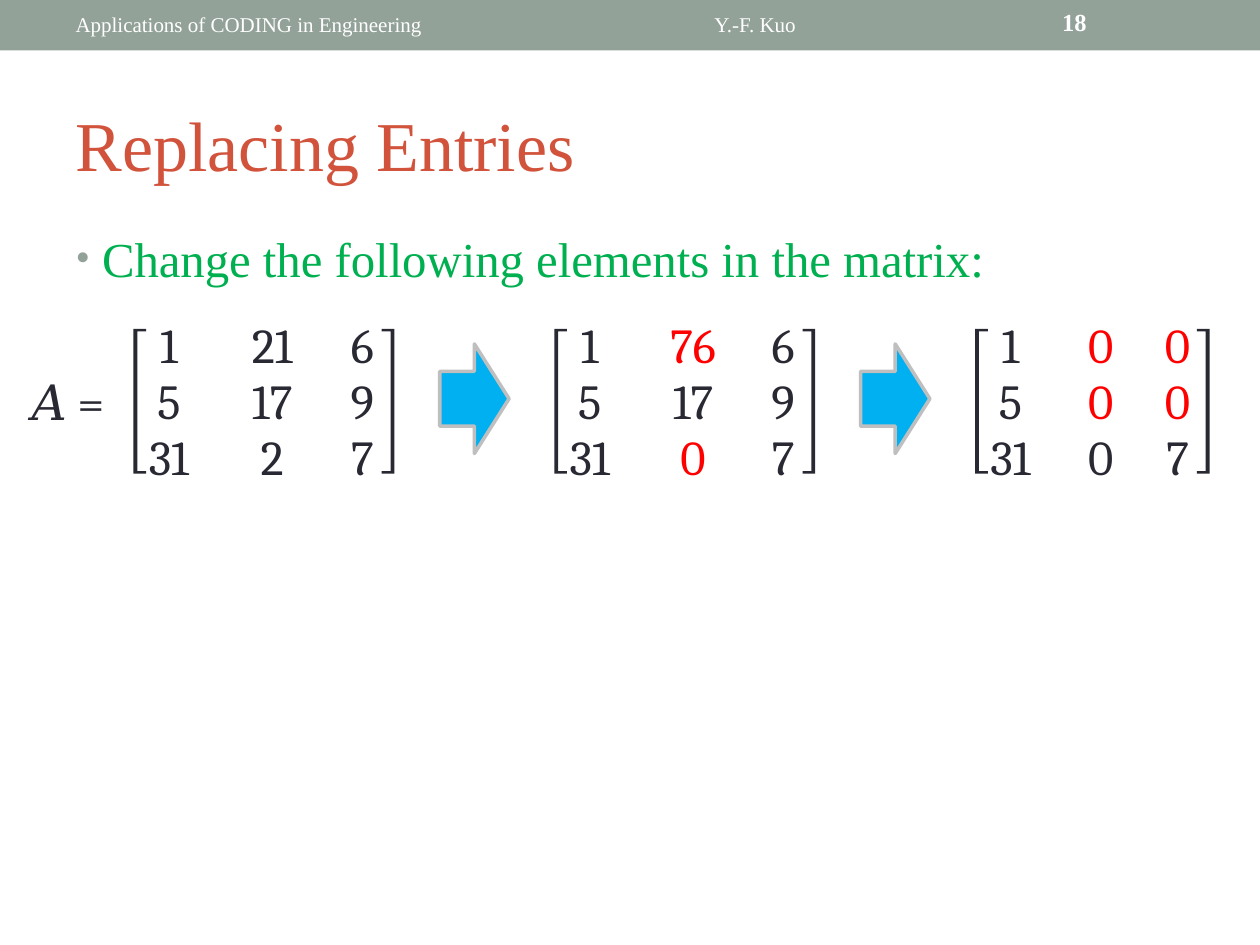
from dataclasses import dataclass

from lxml import etree
from pptx import Presentation
from pptx.dml.color import RGBColor
from pptx.enum import shapes, text
from pptx.oxml import ns
from pptx.util import Inches, Pt


@dataclass(frozen=True)
class Theme:
    serif: str = "Times New Roman"
    math: str = "Cambria"
    band: str = "93A299"
    white: str = "FFFFFF"
    title: str = "D2533C"
    lead: str = "00B050"
    ink: str = "292934"
    changed: str = "FF0000"
    arrow: str = "00B0F0"
    arrow_edge: str = "BFBFBF"
    header_size: float = 12
    number_size: float = 14
    title_size: float = 40
    body_size: float = 27.9


THEME = Theme()
FIRST_LINE, NEXT_LINE = 27, 32  # line heights of matrix rows, points
TWO_DIGITS, ONE_DIGIT = 0.42, 0.21  # column widths
COLUMN_GAP = 0.4
STEP = 3.34  # from one matrix to the next

# Each matrix is a list of columns; a star marks a replaced entry
MATRICES = [
    [["1", "5", "31"], ["21", "17", "2"], ["6", "9", "7"]],
    [["1", "5", "31"], ["76*", "17", "0*"], ["6", "9", "7"]],
    [["1", "5", "31"], ["0*", "0*", "0"], ["0*", "0*", "7"]],
]


def paint(shape, color):
    shape.shadow.inherit = False
    shape.fill.solid()
    shape.fill.fore_color.rgb = RGBColor.from_string(color)
    shape.line.fill.background()


def prepare_frame(shape, wrap=True):
    frame = shape.text_frame
    frame.margin_left = frame.margin_right = 0
    frame.margin_top = frame.margin_bottom = 0
    frame.auto_size = text.MSO_AUTO_SIZE.NONE
    frame.vertical_anchor = text.MSO_ANCHOR.TOP
    frame.word_wrap = wrap
    return frame


def style(para, font, size, color, spacing, bold=False, align=text.PP_ALIGN.LEFT):
    para.alignment = align
    para.line_spacing = Pt(spacing)
    para.space_before = Pt(0)
    para.font.name = font
    para.font.size = Pt(size)
    para.font.bold = bold
    para.font.color.rgb = RGBColor.from_string(color)


def add_label(page, words, left, top, width, height, **look):
    box = page.shapes.add_textbox(*map(Inches, (left, top, width, height)))
    para = prepare_frame(box, wrap=False).paragraphs[0]
    para.text = words
    style(para, **look)


def place(shape, left, top, width, height):
    shape.left, shape.top = Inches(left), Inches(top)
    shape.width, shape.height = Inches(width), Inches(height)


def add_header(page, left, top, width, height):
    band = page.shapes.add_shape(
        shapes.MSO_SHAPE.RECTANGLE, *map(Inches, (left, top, width, height)))
    paint(band, THEME.band)
    small = dict(font=THEME.serif, size=THEME.header_size, color=THEME.white, spacing=11)
    add_label(page, "Applications of CODING in Engineering",
              left + 0.6, top + 0.14, 2.89, 0.15, **small)
    add_label(page, "Y.-F. Kuo", left + 5.67, top + 0.14, 0.67, 0.15, **small)
    add_label(page, "18", left + 8.43, top + 0.12, 0.21, 0.17, font=THEME.serif,
              size=THEME.number_size, color=THEME.white, spacing=12, bold=True)


def fill_title(page, left, top, width, height):
    title = page.shapes.title
    place(title, left, top, width, height)
    para = prepare_frame(title).paragraphs[0]
    para.text = "Replacing Entries"
    style(para, THEME.serif, THEME.title_size, THEME.title, 36)


def fill_body(page, left, top, width, height):
    body = page.placeholders[1]
    place(body, left, top, width, height)
    para = prepare_frame(body).paragraphs[0]
    para.text = "Change the following elements in the matrix:"
    # Hanging bullet in the colour of the header band
    props = para._p.get_or_add_pPr()
    props.set("marL", str(Inches(0.21)))
    props.set("indent", str(-Inches(0.21)))
    color = etree.SubElement(props, ns.qn("a:buClr"))
    etree.SubElement(color, ns.qn("a:srgbClr"), val=THEME.band)
    etree.SubElement(props, ns.qn("a:buSzPct"), val="85000")
    etree.SubElement(props, ns.qn("a:buFont"), typeface=THEME.serif)
    etree.SubElement(props, ns.qn("a:buChar"), char="•")
    style(para, THEME.serif, THEME.body_size, THEME.lead, 28)


def add_bracket(page, edge, top, height, side):
    """Square bracket on an outer edge; side is 1 for opening, -1 for closing."""
    reach, stem, tip = 0.1 * side, 0.03 * side, 0.02
    bottom = top + height
    points = [(edge + reach, top), (edge + reach, top + tip), (edge + stem, top + tip),
              (edge + stem, bottom - tip), (edge + reach, bottom - tip),
              (edge + reach, bottom), (edge, bottom)]
    builder = page.shapes.build_freeform(Inches(edge), Inches(top))
    builder.add_line_segments([(Inches(x), Inches(y)) for x, y in points])
    paint(builder.convert_to_shape(), THEME.ink)


def add_column(page, entries, left, top, width, height):
    box = page.shapes.add_textbox(*map(Inches, (left, top, width, height)))
    frame = prepare_frame(box, wrap=False)
    for row, entry in enumerate(entries):
        para = frame.add_paragraph() if row else frame.paragraphs[0]
        para.text = entry.rstrip("*")
        color = THEME.changed if entry.endswith("*") else THEME.ink
        style(para, THEME.math, THEME.body_size, color,
              NEXT_LINE if row else FIRST_LINE, align=text.PP_ALIGN.CENTER)


def add_matrix(page, columns, left, top, height):
    add_bracket(page, left, top, height, 1)
    x = left + 0.07
    for entries in columns:
        widest = max(len(entry.rstrip("*")) for entry in entries)
        width = TWO_DIGITS if widest == 2 else ONE_DIGIT
        add_column(page, entries, x, top - 0.02, width, 1.29)
        x += width + COLUMN_GAP
    add_bracket(page, x - COLUMN_GAP + 0.15, top, height, -1)


def add_arrow(page, left, top, width, height):
    arrow = page.shapes.add_shape(
        shapes.MSO_SHAPE.RIGHT_ARROW, *map(Inches, (left, top, width, height)))
    paint(arrow, THEME.arrow)
    arrow.line.color.rgb = RGBColor.from_string(THEME.arrow_edge)
    arrow.line.width = Pt(2)


def add_replacement_steps(page, left, top, height):
    add_label(page, "𝐴 =", left, top + 0.36, 0.65, 0.44, font=THEME.math,
              size=THEME.body_size, color=THEME.ink, spacing=NEXT_LINE)
    for index, columns in enumerate(MATRICES):
        x = left + 0.81 + index * STEP
        add_matrix(page, columns, x, top, height)
        if index:
            add_arrow(page, x - 0.91, top + 0.12, 0.55, 0.87)


def main():
    deck = Presentation()
    deck.slide_width, deck.slide_height = Inches(10), Inches(7.5)
    page = deck.slides.add_slide(deck.slide_layouts[1])
    add_header(page, 0, 0, 10, 0.4)
    fill_title(page, 0.6, 0.97, 7.86, 0.6)
    fill_body(page, 0.6, 1.89, 7.86, 0.4)
    add_replacement_steps(page, 0.25, 2.61, 1.15)
    deck.save("out.pptx")


if __name__ == "__main__":
    main()
